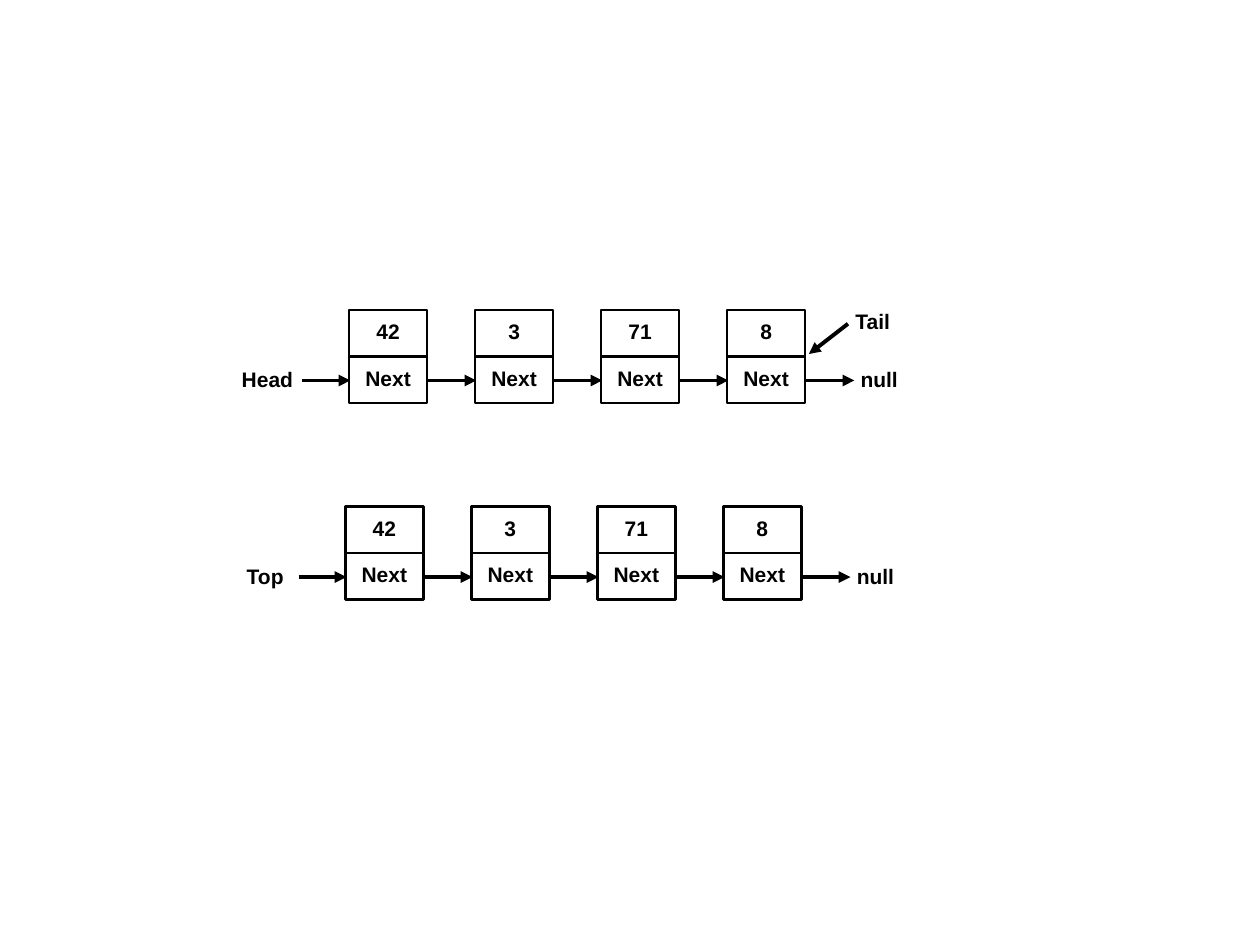
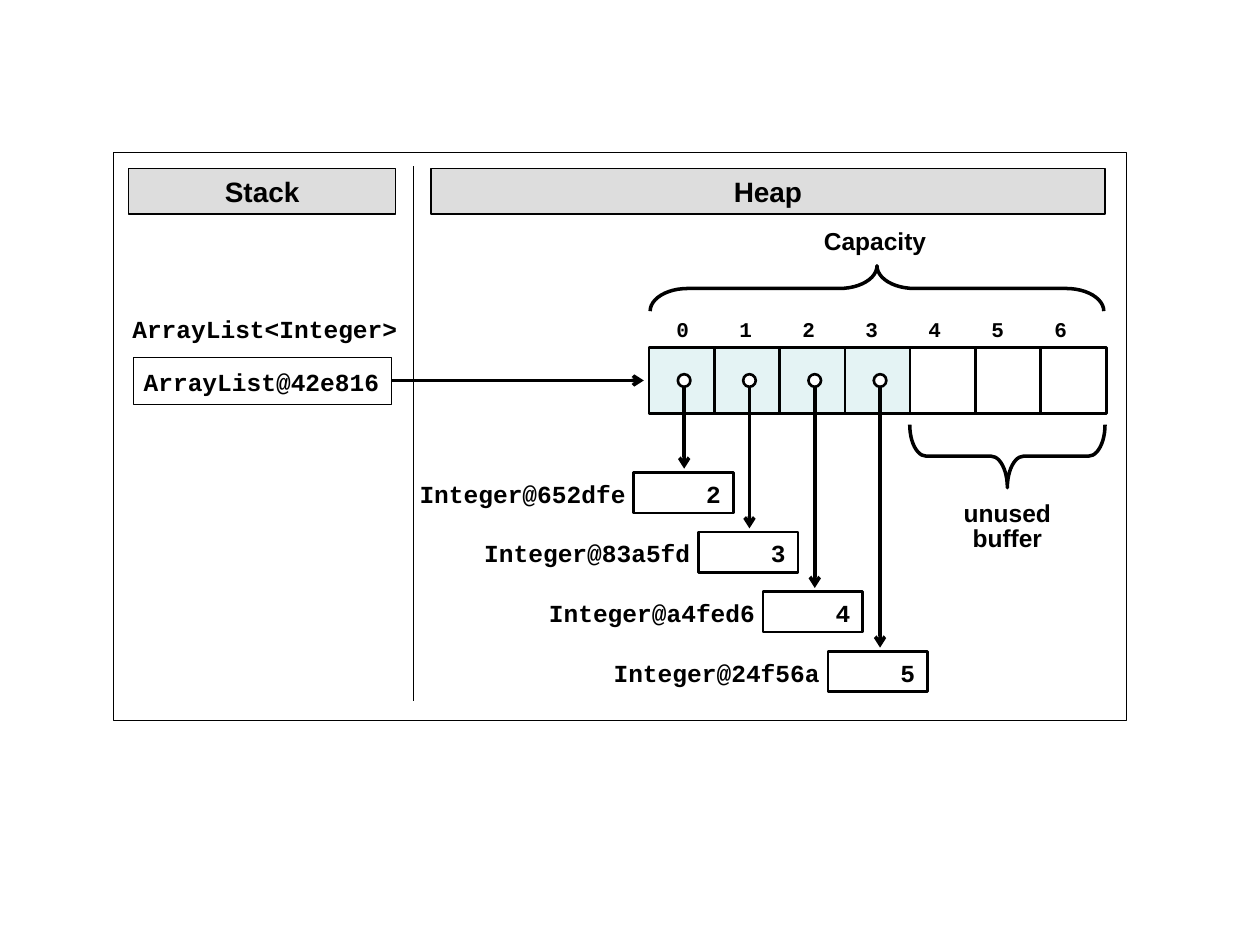
from dataclasses import dataclass

from lxml.etree import SubElement
from pptx import Presentation
from pptx.dml.color import RGBColor
from pptx.enum.shapes import MSO_CONNECTOR, MSO_SHAPE
from pptx.enum.text import MSO_ANCHOR, PP_ALIGN
from pptx.oxml.ns import qn
from pptx.shapes.autoshape import Shape
from pptx.slide import Slide
from pptx.util import Inches, Pt

# Shared style
BLACK = RGBColor(0x00, 0x00, 0x00)
WHITE = RGBColor(0xFF, 0xFF, 0xFF)
GREY = RGBColor(0xDD, 0xDD, 0xDD)
AQUA = RGBColor(0xE4, 0xF3, 0xF4)
SANS, MONO = "Arial", "Courier New"
PAD = (0.1, 0.05)
BARE = (0, 0)


@dataclass
class Box:
    x: float
    y: float
    w: float
    h: float


@dataclass
class Chain:
    x: float
    y: float
    name: str
    name_x: float


@dataclass
class Entry:
    ref: str
    value: str


CHAINS = [Chain(2.77, 2.46, "Head", 1.82), Chain(2.74, 4.02, "Top", 1.86)]
VALUES = ["42", "3", "71", "8"]
ENTRIES = [Entry("652dfe", "2"), Entry("83a5fd", "3"),
           Entry("a4fed6", "4"), Entry("24f56a", "5")]
HEADS = {"Heap": Box(3.42, 1.34, 5.35, 0.36), "Stack": Box(1.02, 1.34, 2.12, 0.36)}


def write(shape: Shape, text: str, *, size: float = 12, font: str = SANS,
          align: PP_ALIGN = PP_ALIGN.LEFT, anchor: MSO_ANCHOR = MSO_ANCHOR.TOP,
          space: float = 1.0, pad: tuple = PAD, wrap: bool = True) -> None:
    """Fill a shape with bold text, one paragraph per line."""
    frame = shape.text_frame
    frame.word_wrap = wrap
    frame.vertical_anchor = anchor
    frame.margin_left = frame.margin_right = Inches(pad[0])
    frame.margin_top = frame.margin_bottom = Inches(pad[1])
    frame.text = text
    for para in frame.paragraphs:
        para.alignment = align
        para.line_spacing = space
        para.font.size = Pt(size)
        para.font.name = font
        para.font.bold = True
        para.font.color.rgb = BLACK


def label(slide: Slide, box: Box, text: str, **form) -> Shape:
    shape = slide.shapes.add_textbox(
        Inches(box.x), Inches(box.y), Inches(box.w), Inches(box.h))
    write(shape, text, **form)
    return shape


def draw(slide: Slide, box: Box, kind: MSO_SHAPE = MSO_SHAPE.RECTANGLE,
         fill: RGBColor | None = WHITE, width: float = 1.5) -> Shape:
    shape = slide.shapes.add_shape(
        kind, Inches(box.x), Inches(box.y), Inches(box.w), Inches(box.h))
    shape.shadow.inherit = False
    if fill is None:
        shape.fill.background()
    else:
        shape.fill.solid()
        shape.fill.fore_color.rgb = fill
    shape.line.color.rgb = BLACK
    shape.line.width = Pt(width)
    return shape


def link(slide: Slide, x1: float, y1: float, x2: float, y2: float,
         width: float = 2, head: str | None = "arrow") -> None:
    line = slide.shapes.add_connector(
        MSO_CONNECTOR.STRAIGHT, Inches(x1), Inches(y1), Inches(x2), Inches(y2))
    line.line.color.rgb = BLACK
    line.line.width = Pt(width)
    if head:
        SubElement(line.line._get_or_add_ln(), qn("a:tailEnd"), type=head)
    SubElement(line._element.spPr, qn("a:effectLst"))


def brace(slide: Slide, box: Box, turn: float, curve: float) -> None:
    """Draw a brace that lies across the given box."""
    mid_x, mid_y = box.x + box.w / 2, box.y + box.h / 2
    upright = Box(mid_x - box.h / 2, mid_y - box.w / 2, box.h, box.w)
    shape = draw(slide, upright, MSO_SHAPE.LEFT_BRACE, None, 2)
    shape.adjustments[0] = curve
    shape.rotation = turn


def set_tabs(shape: Shape, step: float, count: int) -> None:
    props = shape.text_frame.paragraphs[0]._p.get_or_add_pPr()
    tabs = props.makeelement(qn("a:tabLst"))
    for i in range(1, count):
        SubElement(tabs, qn("a:tab"), pos=str(Inches(step * i)), algn="l")
    # Tab stops must come before the default run format
    props.find(qn("a:defRPr")).addprevious(tabs)


def add_chain(slide: Slide, chain: Chain) -> None:
    tall = 0.37
    # Arrows into each node and out to null
    for i in range(len(VALUES) + 1):
        x, y = chain.x + i, chain.y + 0.56
        link(slide, x - 0.37, y, x + 0.01, y, 2.25, "triangle")
    # Value on top, pointer below
    for i, value in enumerate(VALUES):
        for row, text in enumerate((value, "Next")):
            cell = draw(slide, Box(chain.x + i, chain.y + row * tall, 0.62, tall))
            write(cell, text, align=PP_ALIGN.CENTER, space=1.3, pad=(0.1, 0.01))
    # End labels
    y = chain.y + 0.4
    label(slide, Box(chain.name_x, y, 0.62, 0.26), chain.name)
    label(slide, Box(chain.x + 4.04, y, 0.34, 0.26), "null",
          pad=(0.02, 0.05), wrap=False)


def add_lists(slide: Slide) -> None:
    for chain in CHAINS:
        add_chain(slide, chain)
    link(slide, 6.73, 2.57, 6.42, 2.81, 2.25, "triangle")
    label(slide, Box(6.69, 2.4, 0.62, 0.26), "Tail")


def add_memory(slide: Slide) -> None:
    # Frame, divider and headings
    link(slide, 3.28, 1.32, 3.28, 5.56, 0.75, None)
    draw(slide, Box(0.9, 1.21, 8.04, 4.51), fill=None, width=0.5)
    for text, box in HEADS.items():
        write(draw(slide, box, fill=GREY, width=0.75), text, size=16,
              align=PP_ALIGN.CENTER, anchor=MSO_ANCHOR.MIDDLE, pad=BARE)

    # Variable on the stack
    code = {"size": 14, "font": MONO}
    draw(slide, Box(1.06, 2.84, 2.05, 0.37), fill=None, width=0.75)
    label(slide, Box(1.14, 2.91, 1.88, 0.23), "ArrayList@42e816",
          pad=BARE, wrap=False, **code)
    label(slide, Box(1.05, 2.49, 2.11, 0.23), "ArrayList<Integer>",
          pad=BARE, wrap=False, **code)
    link(slide, 3.11, 3.02, 5.11, 3.02)

    # Array slots and their index row
    slots, side = 7, 0.52
    pitch = 3.11 / (slots - 1)
    for i in range(slots):
        draw(slide, Box(5.15 + i * pitch, 2.76, side, side),
             MSO_SHAPE.FLOWCHART_PROCESS, AQUA if i < len(ENTRIES) else WHITE)
    index = label(slide, Box(5.27, 2.46, 3.34, 0.3),
                  "\t".join(str(i) for i in range(slots)), font=MONO)
    set_tabs(index, 0.5, slots)

    # Braces
    brace(slide, Box(5.16, 2.11, 3.6, 0.36), 90, 0.83)
    label(slide, Box(6.44, 1.78, 1.01, 0.3), "Capacity",
          size=14, space=0.85, wrap=False)
    brace(slide, Box(7.22, 3.37, 1.55, 0.5), 270, 0.26)
    label(slide, Box(7.55, 3.94, 0.89, 0.5), "unused\nbuffer", size=14,
          align=PP_ALIGN.CENTER, space=0.85, wrap=False)

    # Objects on the heap
    step_x, step_y = 1.54 / 3, 1.42 / 3
    for i, entry in enumerate(ENTRIES):
        x, y = 5.03 + i * step_x, 3.75 + i * step_y
        label(slide, Box(x - 1.7, y + 0.05, 1.64, 0.23), f"Integer@{entry.ref}",
              pad=BARE, wrap=False, **code)
        box = draw(slide, Box(x, y, 0.79, 0.32), MSO_SHAPE.FLOWCHART_PROCESS)
        write(box, entry.value, align=PP_ALIGN.RIGHT, **code)

    # Pointers from slots to objects
    for i in range(len(ENTRIES)):
        x = 5.43 + i * pitch
        link(slide, x, 3.02, x, 3.72 + i * step_y)
        draw(slide, Box(x - 0.05, 2.97, 0.1, 0.1), MSO_SHAPE.OVAL)


def main() -> None:
    deck = Presentation()
    deck.slide_width, deck.slide_height = Inches(10), Inches(7.5)
    blank = deck.slide_layouts[6]
    for build in (add_lists, add_memory):
        build(deck.slides.add_slide(blank))
    deck.save("out.pptx")


if __name__ == "__main__":
    main()
